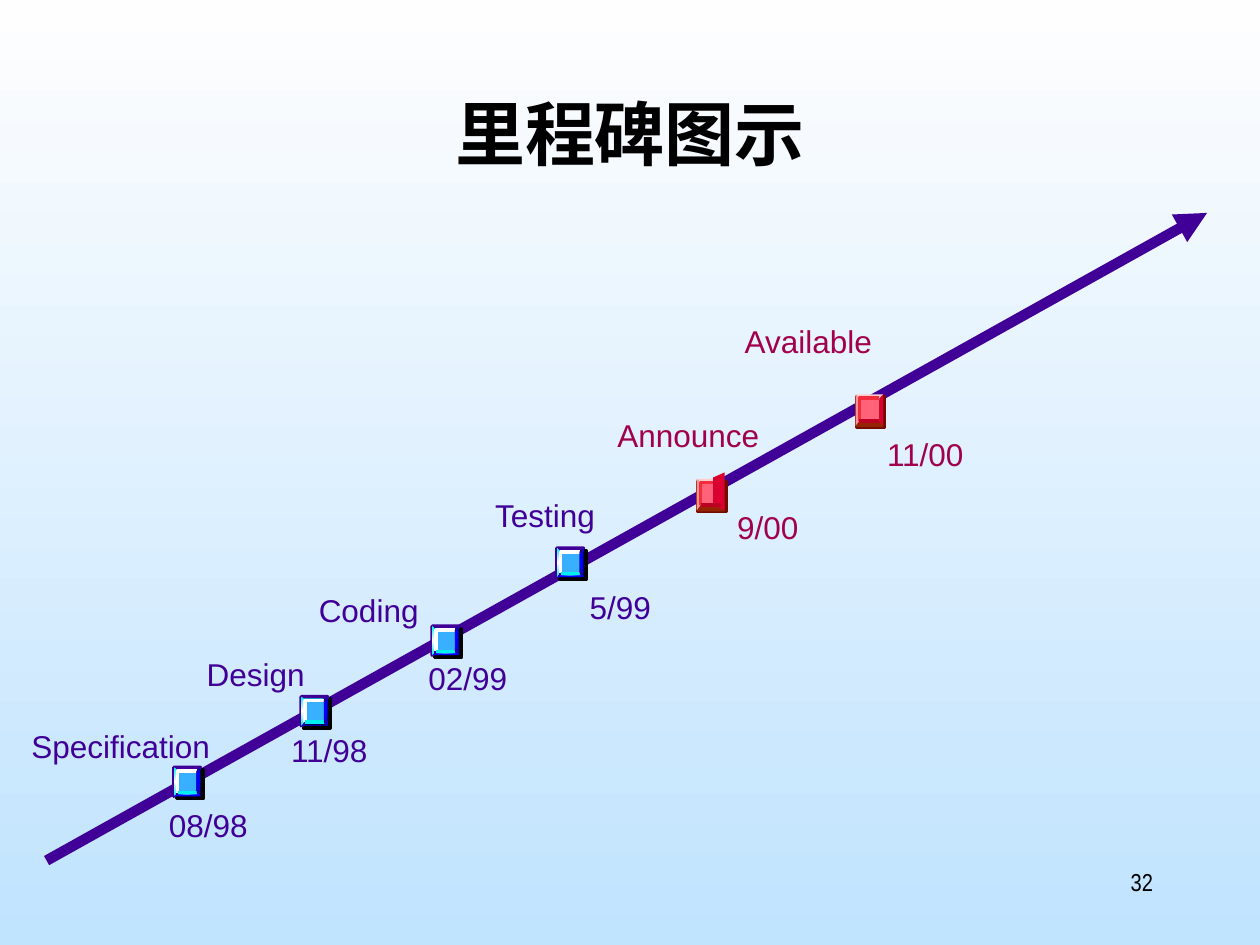
from copy import deepcopy

from lxml import etree
from pptx import Presentation
from pptx.dml.color import RGBColor
from pptx.enum.shapes import MSO_CONNECTOR, MSO_SHAPE
from pptx.enum.text import MSO_ANCHOR, MSO_AUTO_SIZE, PP_ALIGN
from pptx.oxml.ns import qn
from pptx.util import Pt

PX = 9144
RECTANGLE = MSO_SHAPE.RECTANGLE
STRAIGHT = MSO_CONNECTOR.STRAIGHT
LEFT, CENTER, RIGHT = PP_ALIGN.LEFT, PP_ALIGN.CENTER, PP_ALIGN.RIGHT
TOP, MIDDLE = MSO_ANCHOR.TOP, MSO_ANCHOR.MIDDLE
FIT_SHAPE, NO_FIT = MSO_AUTO_SIZE.SHAPE_TO_FIT_TEXT, MSO_AUTO_SIZE.NONE

BLACK = RGBColor(0x00, 0x00, 0x00)
WHITE = RGBColor(0xFF, 0xFF, 0xFF)
SKY_TOP = RGBColor(0xFE, 0xFE, 0xFE)
SKY_BOTTOM = RGBColor(0xC0, 0xE3, 0xFE)
INDIGO = RGBColor(0x40, 0x00, 0x97)
DARK_INDIGO = RGBColor(0x28, 0x00, 0x78)
BLUE = RGBColor(0x00, 0x00, 0xFF)
LIGHT_BLUE = RGBColor(0x38, 0xB0, 0xFF)
CYAN = RGBColor(0x00, 0xEF, 0xEF)
CRIMSON = RGBColor(0xA0, 0x00, 0x4C)
MAROON = RGBColor(0x74, 0x0B, 0x00)
RUST = RGBColor(0x95, 0x25, 0x00)
PALE_PINK = RGBColor(0xFF, 0xCB, 0xCB)
PINK = RGBColor(0xFF, 0x94, 0x94)
ROSE = RGBColor(0xFF, 0x63, 0x79)
SCARLET = RGBColor(0xF3, 0x2D, 0x3B)
RED = RGBColor(0xDA, 0x00, 0x30)
DARK_RED = RGBColor(0xBC, 0x00, 0x24)

BLUE_PARTS = [
    ("rect", (2, 2, 21, 23), BLACK, BLACK),
    ("rect", (0, 19, 21, 3), (BLUE, LIGHT_BLUE, BLUE, 0), None),
    ("area", [(21, 0), (0, 0), (0, 23)], CYAN, INDIGO),
    ("rect", (3, 3, 15, 17), LIGHT_BLUE, None),
    ("area", [(2, 20), (2, 2), (0, 0), (0, 23)], (CYAN, WHITE, CYAN, 90), None),
    ("path", [(3, 20), (3, 3), (18, 3)], None, WHITE),
    ("area", [(21, 23), (21, 22), (1, 22), (0, 23)], BLUE, None),
    ("area", [(18, 20), (18, 3), (21, 0), (21, 23)], BLUE, None),
    ("line", [(3, 20), (18, 20)], None, CYAN),
    ("area", [(18, 3), (18, 5), (20, 2), (20, 5), (20, 0)], DARK_INDIGO, None),
    ("area", [(20, 22), (20, 14), (19, 20), (18, 18), (18, 20)], DARK_INDIGO, None),
]
RED_FACE = [
    ("rect", (1, 2, 22, 24), MAROON, MAROON),
    ("rect", (0, 21, 22, 5), RUST, None),
    ("area", [(22, 0), (0, 0), (12, 14)], PALE_PINK, None),
    ("rect", (3, 3, 16, 18), ROSE, None),
    ("area", [(3, 21), (3, 3), (0, 0), (0, 25)], PINK, None),
    ("path", [(3, 21), (3, 3), (19, 3)], None, SCARLET),
]
RED_EDGE = [("line", [(3, 21), (19, 21)], None, DARK_RED)]
NARROW_SIDE = [("area", [(19, 21), (19, 3), (22, 0), (22, 25)], RED, None)]
WIDE_SIDE = [("area", [(13, 21), (13, -1), (22, -5), (22, 25)], RED, None)]

MILESTONES = [
    (138, 609, BLUE_PARTS, INDIGO, "Specification", (25, 577, 144), "08/98", (134, 640, 65)),
    (239, 553, BLUE_PARTS, INDIGO, "Design", (164, 520, 80), "11/98", (231, 580, 65)),
    (343, 497, BLUE_PARTS, INDIGO, "Coding", (253, 469, 82), "02/99", (340, 523, 65)),
    (442, 435, BLUE_PARTS, INDIGO, "Testing", (393, 394, 84), "5/99", (468, 467, 51)),
    (553, 380, RED_FACE + WIDE_SIDE + RED_EDGE, CRIMSON,
     "Announce", (490, 330, 115), "9/00", (585, 403, 51)),
    (679, 313, RED_FACE + NARROW_SIDE + RED_EDGE, CRIMSON,
     "Available", (591, 256, 104), "11/00", (704, 345, 65)),
]


def write_text(shape, text, font_name="Arial", size=18, color=INDIGO, bold=False,
               align=LEFT, anchor=MIDDLE, insets=(0, 0), wrap=True,
               fit=NO_FIT, space_after=0):
    frame = shape.text_frame
    frame.word_wrap = wrap
    frame.auto_size = fit
    frame.vertical_anchor = anchor
    frame.margin_left = frame.margin_right = insets[0] * PX
    frame.margin_top = frame.margin_bottom = insets[1] * PX
    paragraph = frame.paragraphs[0]
    paragraph.alignment = align
    paragraph.space_before = Pt(0)
    paragraph.space_after = Pt(space_after)
    run = paragraph.add_run()
    run.text = text
    run.font.name = font_name
    run.font.size = Pt(size)
    run.font.bold = bold
    run.font.color.rgb = color
    east_asian = etree.SubElement(run.font._element, qn("a:ea"))
    east_asian.set("typeface", font_name)


def add_line(shapes, start, end, color, width):
    connector = shapes.add_connector(STRAIGHT, *(value * PX for value in start + end))
    connector.line.color.rgb = color
    connector.line.width = Pt(width)
    etree.SubElement(connector._element.spPr, qn("a:effectLst"))
    return connector


presentation = Presentation()
presentation.slide_width = 1000 * PX
presentation.slide_height = 750 * PX
slide = presentation.slides.add_slide(presentation.slide_layouts[5])

background = slide.background.fill
background.gradient()
background.gradient_angle = 270
for stop, color in zip(background.gradient_stops, (SKY_TOP, SKY_BOTTOM)):
    stop.color.rgb = color

title = slide.shapes.title
title.left, title.top, title.width, title.height = (v * PX for v in (75, 67, 850, 125))
write_text(title, "里程碑图示", font_name="Noto Sans CJK SC", size=40, color=BLACK, bold=True,
           align=CENTER, anchor=TOP, insets=(10, 5))

timeline = add_line(slide.shapes, (37, 683), (958, 169), INDIGO, 6)
etree.SubElement(timeline.line._get_or_add_ln(), qn("a:tailEnd")).set("type", "triangle")

for left, top, parts, label_color, name, name_box, date, date_box in MILESTONES:
    marker = slide.shapes.add_group_shape().shapes
    for kind, geometry, fill, outline in parts:
        if kind == "rect":
            x, y, width, height = geometry
            shape = marker.add_shape(RECTANGLE, (left + x) * PX, (top + y) * PX,
                                     width * PX, height * PX)
        else:
            points = [(left + x, top + y) for x, y in geometry]
            if kind == "line":
                add_line(marker, *points, outline, 2)
                continue
            builder = marker.build_freeform(*points[0], scale=PX)
            builder.add_line_segments(points[1:], close=kind == "area")
            shape = builder.convert_to_shape()
        shape.shadow.inherit = False
        if fill is None:
            shape.fill.background()
        elif isinstance(fill, RGBColor):
            shape.fill.solid()
            shape.fill.fore_color.rgb = fill
        else:
            shape.fill.gradient()
            shape.fill.gradient_angle = fill[3]
            stop_list = shape._element.spPr.find(".//" + qn("a:gsLst"))
            stop_list.insert(1, deepcopy(stop_list[0]))
            for stop, color, position in zip(shape.fill.gradient_stops, fill, (0, 0.5, 1)):
                stop.color.rgb = color
                stop.position = position
        if outline is None:
            shape.line.fill.background()
        else:
            shape.line.color.rgb = outline
            shape.line.width = Pt(2)
    for text, (x, y, width) in ((name, name_box), (date, date_box)):
        label = slide.shapes.add_textbox(x * PX, y * PX, width * PX, 30 * PX)
        write_text(label, text, color=label_color, wrap=False, fit=FIT_SHAPE, space_after=3.4)

page_number = slide.shapes.add_textbox(717 * PX, 683 * PX, 208 * PX, 50 * PX)
write_text(page_number, "32", font_name="Arial Narrow", size=14, color=BLACK, align=RIGHT,
           anchor=TOP, insets=(10, 5))

presentation.save("out.pptx")
